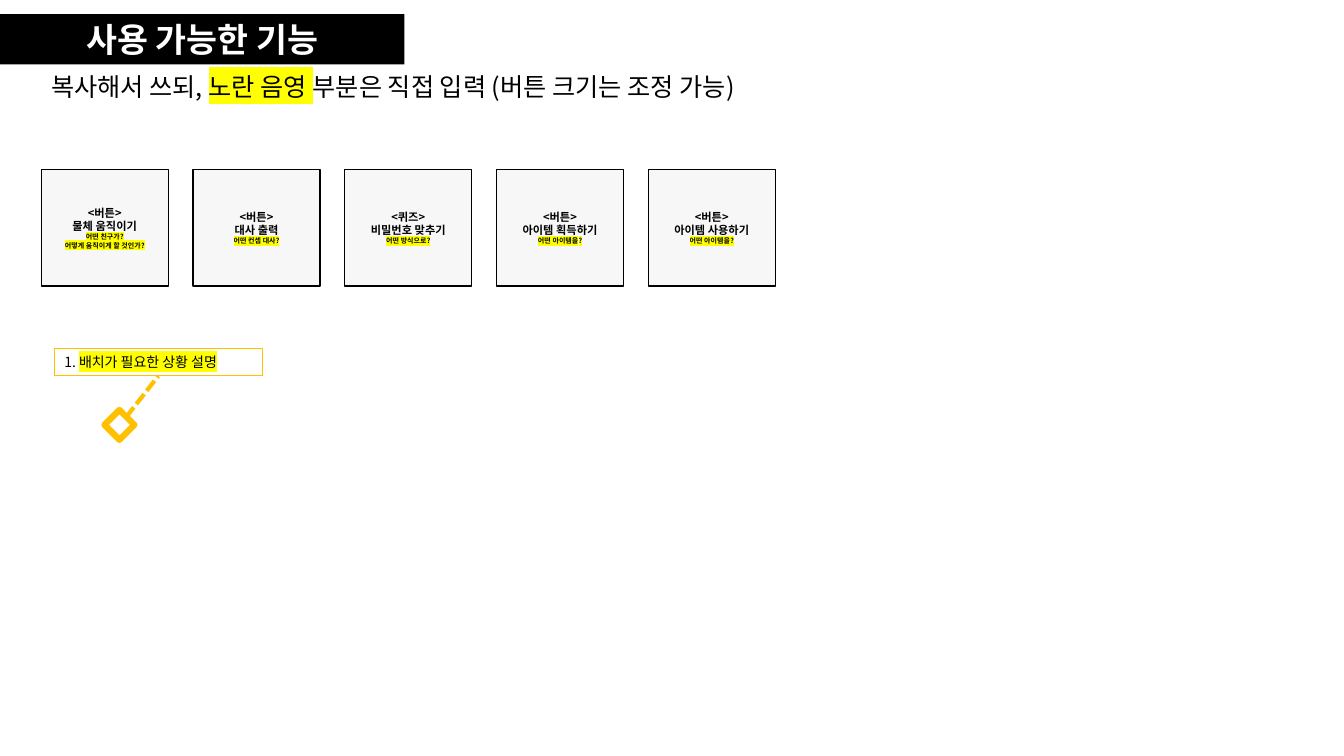
from lxml import etree
from pptx import Presentation
from pptx.dml.color import RGBColor
from pptx.enum.dml import MSO_LINE
from pptx.enum.shapes import MSO_CONNECTOR, MSO_SHAPE
from pptx.enum.text import MSO_ANCHOR, MSO_AUTO_SIZE, PP_ALIGN
from pptx.oxml.ns import qn
from pptx.util import Pt

RECTANGLE = MSO_SHAPE.RECTANGLE
STRAIGHT = MSO_CONNECTOR.STRAIGHT
DASH = MSO_LINE.SQUARE_DOT
MIDDLE, TOP = MSO_ANCHOR.MIDDLE, MSO_ANCHOR.TOP
GROW, FIXED = MSO_AUTO_SIZE.SHAPE_TO_FIT_TEXT, MSO_AUTO_SIZE.NONE
LEFT, CENTER = PP_ALIGN.LEFT, PP_ALIGN.CENTER

PX = 9144  # 100 px to the inch
THEME = {
    "font": "Noto Sans CJK KR",
    "black": RGBColor(0x00, 0x00, 0x00),
    "white": RGBColor(0xFF, 0xFF, 0xFF),
    "card": RGBColor(0xDB, 0xDB, 0xDB),
    "accent": RGBColor(0xFF, 0xC0, 0x00),
    "highlight": "FFFF00",
    "title": 24, "subtitle": 18, "note": 10, "card_text": 8, "card_prompt": 5,
}


def add_box(left, top, width, height, fill=None, line=None, weight=1):
    box = slide.shapes.add_shape(
        RECTANGLE, int(left * PX), top * PX, width * PX, height * PX)
    box.shadow.inherit = False
    if fill is None:
        box.fill.background()
    else:
        box.fill.solid()
        box.fill.fore_color.rgb = fill
    if line is None:
        box.line.fill.background()
    else:
        box.line.color.rgb = line
        box.line.width = Pt(weight)
    return box


def write(shape, lines, align=LEFT, color=THEME["black"], bold=False, anchor=TOP, size_mode=GROW):
    """Each line is (size, [(text, highlighted), ...])."""
    frame = shape.text_frame
    frame.word_wrap = True
    frame.auto_size = size_mode
    frame.vertical_anchor = anchor
    for index, (size, runs) in enumerate(lines):
        paragraph = frame.paragraphs[0] if index == 0 else frame.add_paragraph()
        paragraph.alignment = align
        font = paragraph.font
        font.size, font.bold, font.name = Pt(size), bold, THEME["font"]
        font.color.rgb = color
        etree.SubElement(font._element, qn("a:ea"), typeface=THEME["font"])
        for text, highlighted in runs:
            run = paragraph.add_run()
            run.text = text
            if highlighted:
                mark = etree.SubElement(run._r.get_or_add_rPr(), qn("a:highlight"))
                etree.SubElement(mark, qn("a:srgbClr"), val=THEME["highlight"])


presentation = Presentation()
presentation.slide_width, presentation.slide_height = 1333 * PX, 750 * PX
slide = presentation.slides.add_slide(presentation.slide_layouts[6])

# Title bar and instructions
title = add_box(0, 14, 401, 50, fill=THEME["black"])
write(title, [(THEME["title"], [("사용 가능한 기능", False)])],
      align=CENTER, color=THEME["white"], bold=True)
subtitle = slide.shapes.add_textbox(41 * PX, 66 * PX, 826 * PX, 40 * PX)
write(subtitle, [(THEME["subtitle"], [
    ("복사해서 쓰되, ", False), ("노란 음영 ", True),
    ("부분은 직접 입력 (버튼 크기는 조정 가능)", False)])])

# Function cards, evenly spread
cards = [
    ("<버튼>", "물체 움직이기", ["어떤 친구가?", "어떻게 움직이게 할 것인가?"]),
    ("<버튼>", "대사 출력", ["어떤 컨셉 대사?"]),
    ("<퀴즈>", "비밀번호 맞추기", ["어떤 방식으로?"]),
    ("<버튼>", "아이템 획득하기", ["어떤 아이템을?"]),
    ("<버튼>", "아이템 사용하기", ["어떤 아이템을?"]),
]
first_left, last_left = 41, 643
pitch = (last_left - first_left) / (len(cards) - 1)
for index, (kind, action, prompts) in enumerate(cards):
    card = add_box(first_left + index * pitch, 168, 126, 116,
                   fill=THEME["card"], line=THEME["black"])
    card_color = card.fill._xPr.find(qn("a:solidFill"))[0]
    etree.SubElement(card_color, qn("a:alpha"), val="20000")
    lines = [(THEME["card_text"], [(text, False)]) for text in (kind, action)]
    lines += [(THEME["card_prompt"], [(text, True)]) for text in prompts]
    write(card, lines, align=CENTER, bold=True, anchor=MIDDLE, size_mode=FIXED)

# Situation note with its marker
note = add_box(54, 346, 206, 27, line=THEME["accent"], weight=0.75)
write(note, [(THEME["note"], [("1. ", False), ("배치가 필요한 상황 설명", True)])])
marker = add_box(108, 411, 21, 21, line=THEME["accent"], weight=4.5)
marker.rotation = 315

# Dashed leader from the marker's turned right side to the note
leader = slide.shapes.add_connector(STRAIGHT, 125 * PX, 414 * PX, 157 * PX, 373 * PX)
leader.begin_connect(marker, 3)
leader.begin_x, leader.begin_y = 125 * PX, 414 * PX
leader.end_connect(note, 2)
leader.line.color.rgb = THEME["accent"]
leader.line.width = Pt(3)
leader.line.dash_style = DASH
etree.SubElement(leader._element.spPr, qn("a:effectLst"))

presentation.save("out.pptx")
